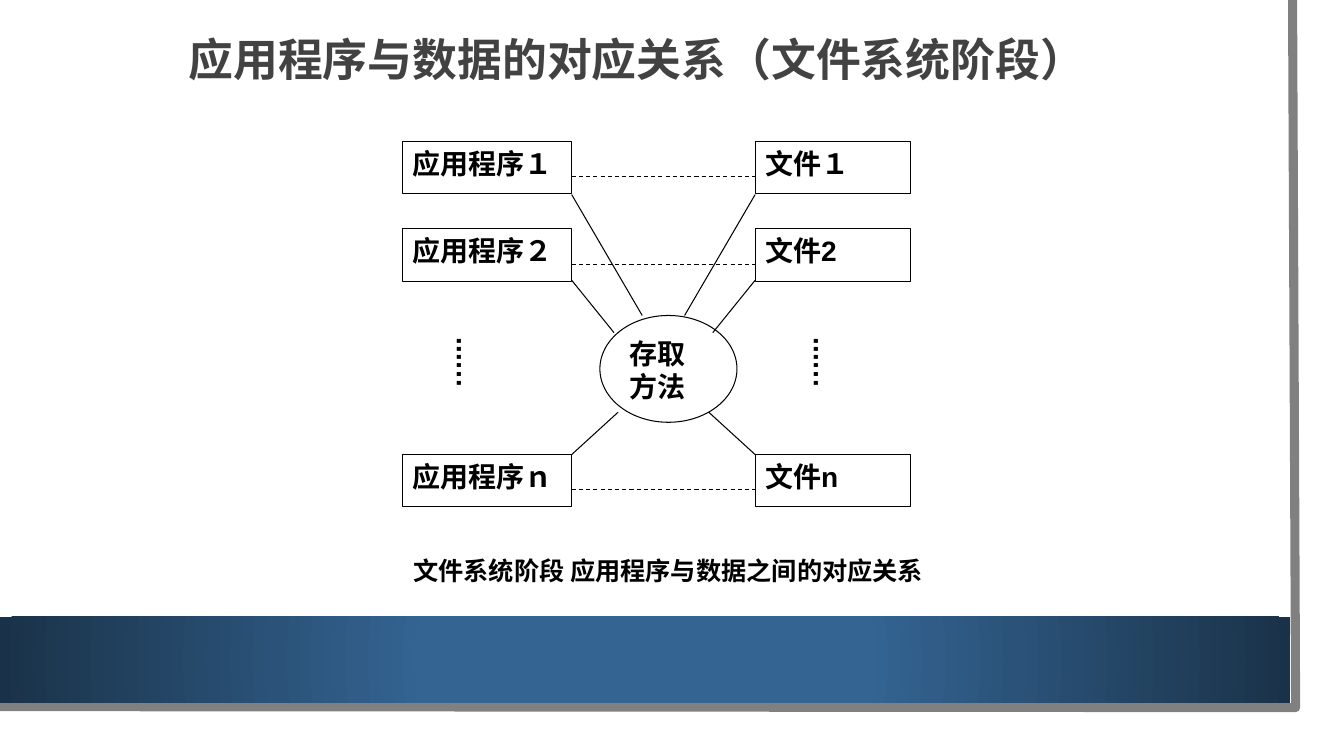
"""Build the slide relating application programs to files in the file system stage."""
from dataclasses import dataclass

from lxml.etree import SubElement
from pptx import Presentation
from pptx.dml.color import RGBColor
from pptx.enum.dml import MSO_LINE
from pptx.enum.shapes import MSO_CONNECTOR, MSO_SHAPE as Preset
from pptx.enum.text import MSO_ANCHOR, PP_ALIGN
from pptx.oxml import parse_xml
from pptx.oxml.ns import nsdecls, qn
from pptx.util import Inches, Pt


@dataclass(frozen=True)
class Theme:
    white: str = "FFFFFF"
    ink: str = "000000"
    heading: str = "424242"
    edge: str = "808080"
    band_center: str = "346492"
    band_rim: str = "1A3249"
    title_font: str = "Arial Narrow"
    body_font: str = "Arial"
    title_size: float = 32
    label_size: float = 20
    caption_size: float = 18
    line_width: float = 0.75
    edge_width: float = 6.5


@dataclass(frozen=True)
class Area:
    left: float
    top: float
    width: float
    height: float

    def lengths(self) -> tuple:
        return tuple(Inches(value) for value in (self.left, self.top, self.width, self.height))


@dataclass(frozen=True)
class Row:
    program: str
    file: str
    top: float


@dataclass(frozen=True)
class Link:
    row_side: float
    method_offset: float
    method_y: float


THEME = Theme()
PROGRAM_LEFT, PROGRAM_WIDTH = 3.99, 1.68
FILE_LEFT, FILE_WIDTH = 7.49, 1.54
PROGRAM_RIGHT = PROGRAM_LEFT + PROGRAM_WIDTH
MIDDLE = (PROGRAM_RIGHT + FILE_LEFT) / 2
ROW_HEIGHT = 0.52
ROWS = [
    Row("应用程序１", "文件１", 1.4),
    Row("应用程序２", "文件2", 2.27),
    Row("应用程序ｎ", "文件n", 4.51),
]
LINKS = [Link(1.93, 0.21, 3.13), Link(2.78, 0.49, 3.3), Link(4.51, 0.45, 4.09)]


def color(code: str) -> RGBColor:
    return RGBColor.from_string(code)


def write(box, text: str, size: float, font: str = THEME.body_font, ink: str = THEME.ink):
    """Write one bold left-aligned paragraph."""
    box.text_frame.word_wrap = True
    box.text_frame.text = text
    para = box.text_frame.paragraphs[0]
    para.alignment = PP_ALIGN.LEFT
    para.font.size, para.font.name, para.font.bold = Pt(size), font, True
    para.font.color.rgb = color(ink)
    return para


def add_box(page, preset: Preset, area: Area, outlined: bool = True):
    """Add a white shape, outlined in black if asked."""
    box = page.shapes.add_shape(preset, *area.lengths())
    box.shadow.inherit = False
    box.fill.solid()
    box.fill.fore_color.rgb = color(THEME.white)
    if outlined:
        box.line.color.rgb = color(THEME.ink)
        box.line.width = Pt(THEME.line_width)
    else:
        box.line.fill.background()
    return box


def add_label(page, preset: Preset, area: Area, text: str) -> None:
    """Add an outlined shape with its text at the top left."""
    box = add_box(page, preset, area)
    box.text_frame.vertical_anchor = MSO_ANCHOR.TOP
    write(box, text, THEME.label_size)


def add_line(page, start: tuple, end: tuple, dashed: bool = False) -> None:
    """Add a thin straight line."""
    points = [Inches(value) for value in (*start, *end)]
    line = page.shapes.add_connector(MSO_CONNECTOR.STRAIGHT, *points)
    line.line.color.rgb = color(THEME.ink)
    line.line.width = Pt(THEME.line_width)
    if dashed:
        line.line.dash_style = MSO_LINE.DASH
    SubElement(line.element.spPr, qn("a:effectLst"))


def add_dots(page, left: float) -> None:
    """Add a vertical ellipsis."""
    box = page.shapes.add_textbox(*Area(left, 3.25, 0.54, 0.95).lengths())
    write(box, "...…", THEME.label_size)
    box.text_frame.margin_left, box.text_frame.margin_right = Inches(0), Inches(0.19)
    box.element.find(".//" + qn("a:bodyPr")).set("vert", "eaVert")


def add_backdrop(page) -> None:
    """Add the sheet, its grey edge and the gradient band."""
    add_box(page, Preset.RECTANGLE, Area(0, 0, 13.1, 7.27), outlined=False)
    builder = page.shapes.build_freeform(Inches(12.82), Inches(0))
    corners = [(Inches(12.85), Inches(7.02)), (Inches(-0.03), Inches(7.01))]
    builder.add_line_segments(corners, close=False)
    edge = builder.convert_to_shape()
    edge.shadow.inherit = False
    edge.fill.background()
    edge.line.color.rgb = color(THEME.edge)
    edge.line.width = Pt(THEME.edge_width)

    band = add_box(page, Preset.RECTANGLE, Area(0, 6.12, 12.8, 0.85), outlined=False)
    solid = band.element.spPr.find(qn("a:solidFill"))
    gradient = parse_xml(
        f'<a:gradFill {nsdecls("a")} rotWithShape="1"><a:gsLst>'
        f'<a:gs pos="34000"><a:srgbClr val="{THEME.band_center}"/></a:gs>'
        f'<a:gs pos="100000"><a:srgbClr val="{THEME.band_rim}"/></a:gs></a:gsLst>'
        '<a:path path="circle"><a:fillToRect l="50000" t="50000" r="50000" b="50000"/>'
        "</a:path></a:gradFill>"
    )
    band.element.spPr.replace(solid, gradient)


def add_title(page) -> None:
    """Fill the title placeholder and bring it in front of the sheet."""
    title = page.shapes.title
    title.left, title.top, title.width, title.height = Area(1.77, 0.15, 9.88, 0.93).lengths()
    title.text_frame.vertical_anchor = MSO_ANCHOR.MIDDLE
    text = "应用程序与数据的对应关系（文件系统阶段）"
    para = write(title, text, THEME.title_size, THEME.title_font, THEME.heading)
    para.line_spacing = 0.9
    title.element.getparent().append(title.element)


def add_diagram(page) -> None:
    """Add programs and files, joined through the access method."""
    for row in ROWS:
        program = Area(PROGRAM_LEFT, row.top, PROGRAM_WIDTH, ROW_HEIGHT)
        add_label(page, Preset.RECTANGLE, program, row.program)
        file = Area(FILE_LEFT, row.top, FILE_WIDTH, ROW_HEIGHT)
        add_label(page, Preset.RECTANGLE, file, row.file)
        level = row.top + 0.35
        add_line(page, (PROGRAM_RIGHT, level), (FILE_LEFT, level), dashed=True)
    add_label(page, Preset.OVAL, Area(5.95, 3.13, 1.36, 1.06), "存取方法")
    for link in LINKS:
        for side, sign in ((PROGRAM_RIGHT, -1), (FILE_LEFT, 1)):
            end = (MIDDLE + sign * link.method_offset, link.method_y)
            add_line(page, (side, link.row_side), end)
    for left in (4.46, 8):
        add_dots(page, left)


def main() -> None:
    deck = Presentation()
    deck.slide_width, deck.slide_height = Inches(13.33), Inches(7.5)
    page = deck.slides.add_slide(deck.slide_layouts[5])
    add_backdrop(page)
    add_title(page)
    add_diagram(page)
    caption = page.shapes.add_textbox(*Area(4, 5.46, 5.43, 0.4).lengths())
    write(caption, "文件系统阶段 应用程序与数据之间的对应关系", THEME.caption_size)
    deck.save("out.pptx")


if __name__ == "__main__":
    main()
